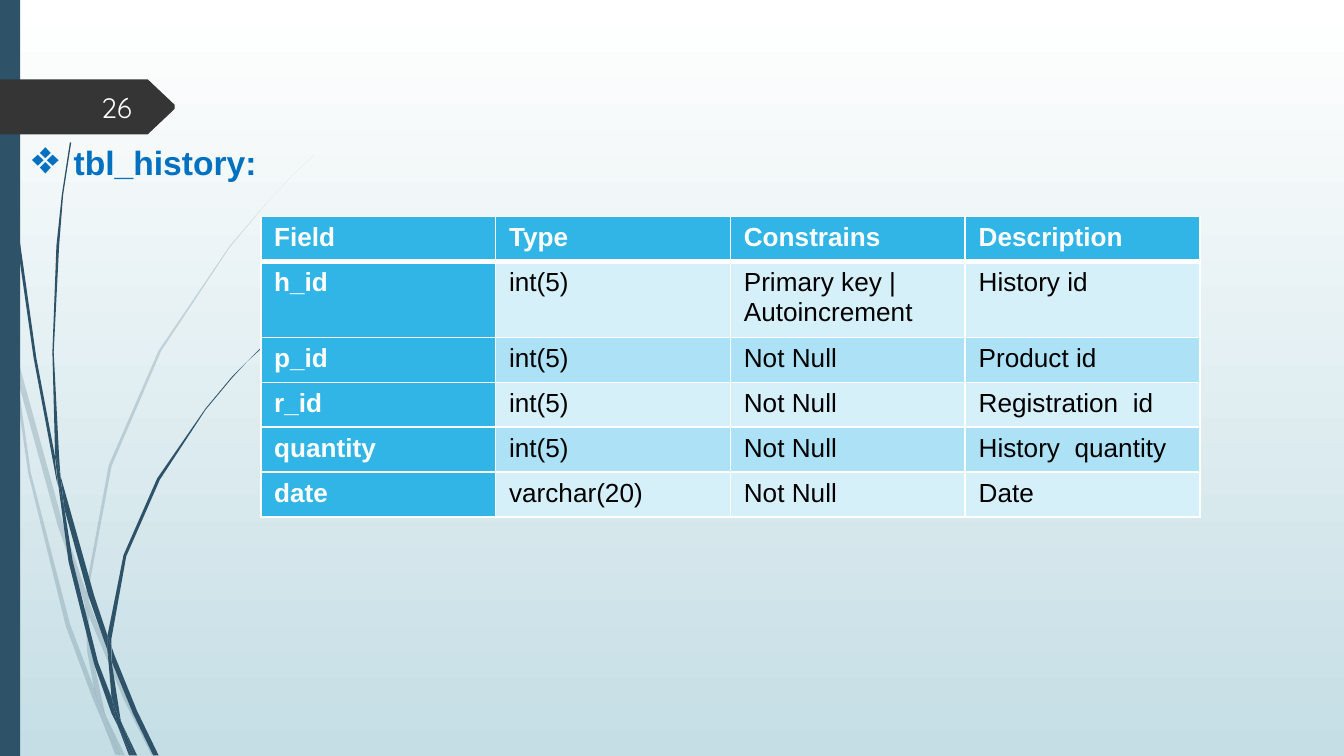
from dataclasses import dataclass

from pptx import Presentation
from pptx import util as u
from pptx.dml.color import RGBColor
from pptx.enum import shapes, text
from pptx.oxml.ns import qn
from pptx.oxml.xmlchemy import OxmlElement
from pptx.shapes.autoshape import Shape
from pptx.slide import Slide
from pptx.table import _Cell as Cell

Edge = list[tuple[float, float]]
HEX = {
    "white": "FFFFFF", "mist": "C5DEE5", "navy": "2E5369", "coal": "353535",
    "page": "FEFFFF", "title": "0070C0", "black": "000000",
    "head": "31B4E6", "light": "D6F0FA", "mid": "ADE1F5",
}
WIDE, HIGH = 10, 10 * 9 / 16
BASE = 5.62


@dataclass
class Label:
    words: str
    box: tuple[float, float, float, float]
    font: str
    size: int
    tint: str
    bold: bool = False


# Outlines of the grass blades, each down one edge and back up the other
PALE: list[Edge] = [
    [(0.08, 2.63), (0.06, 2.41), (0, 2.11), (0, 2.24), (0.08, 2.58)],
    [(0.11, 2.59), (0.13, 2.82), (0.43, 3.91), (0.63, 4.49),
     (0.64, 4.4), (0.47, 3.9)],
    [(0.66, 4.47), (0.66, 4.58), (0.92, 5.2), (1.13, BASE),
     (1.16, BASE), (0.95, 5.19), (0.69, 4.55)],
    [(0.79, 5.33), (0.89, BASE), (0.93, BASE)],
    [(0.08, 2.63), (0.21, 3.52), (0.49, 4.66), (0.69, 5.2), (0.76, 5.36),
     (0.74, 5.3), (0.7, 5.12), (0.52, 4.64), (0.23, 3.52), (0.13, 2.82)],
    [(0.63, 4.49), (0.65, 4.85), (0.7, 5.12), (0.72, 5.19), (0.79, 5.33),
     (0.78, 5.3), (0.68, 4.84), (0.66, 4.58), (0.66, 4.56)],
    [(0.66, 4.47), (0.66, 4.38), (0.83, 3.47), (1.2, 2.61), (1.71, 1.84),
     (2.01, 1.48), (2.17, 1.31), (2.34, 1.15), (2.17, 1.31), (2.01, 1.48),
     (1.71, 1.83), (1.18, 2.61), (0.81, 3.46), (0.64, 4.38), (0.64, 4.4)],
    [(0.76, 5.36), (0.86, BASE), (0.89, BASE)],
    [(0.66, 4.56), (0.66, 4.58), (0.66, 4.47), (0.64, 4.4), (0.63, 4.49)],
    [(0.7, 5.12), (0.74, 5.3), (0.76, 5.36), (0.89, BASE),
     (0.79, 5.33), (0.72, 5.19)],
]
DARK: list[Edge] = [
    [(0.02, 0), (0.03, 0.36), (0.05, 0.82), (0.12, 1.75), (0.25, 2.66),
     (0.42, 3.57), (0.43, 3.61), (0.41, 3.43), (0.41, 3.4), (0.27, 2.66),
     (0.14, 1.74), (0.06, 0.82), (0.03, 0.36), (0.03, 0)],
    [(0.45, 3.54), (0.48, 3.79), (0.66, 4.44), (0.8, 4.84),
     (0.8, 4.75), (0.8, 4.73), (0.7, 4.43)],
    [(0.83, 4.81), (0.83, 4.92), (0.99, 5.31), (1.14, BASE),
     (1.18, BASE), (1.02, 5.29), (0.85, 4.87)],
    [(0.43, 3.58), (0.51, 4.18), (0.7, 4.94), (0.83, 5.31), (0.88, 5.41),
     (0.87, 5.38), (0.83, 5.19), (0.73, 4.93), (0.54, 4.17), (0.48, 3.79)],
    [(0.45, 3.54), (0.44, 3.4), (0.4, 2.62), (0.44, 1.83), (0.47, 1.45),
     (0.53, 1.06), (0.52, 1.06), (0.46, 1.45), (0.42, 1.83), (0.39, 2.62),
     (0.41, 3.37)],
    [(0.91, 5.39), (1, BASE), (1.02, BASE)],
    [(0.43, 3.58), (0.48, 3.79), (0.45, 3.54), (0.41, 3.37), (0.41, 3.4)],
    [(0.83, 4.81), (0.83, 4.75), (0.94, 4.14), (1.19, 3.57), (1.53, 3.05),
     (1.73, 2.81), (1.84, 2.69), (1.96, 2.58), (1.95, 2.58), (1.84, 2.69),
     (1.73, 2.8), (1.53, 3.04), (1.17, 3.56), (0.92, 4.13), (0.8, 4.73)],
    [(0.88, 5.41), (0.96, BASE), (0.98, BASE)],
    [(0.8, 4.84), (0.83, 5.19), (0.87, 5.3), (0.91, 5.39),
     (0.9, 5.37), (0.83, 4.92), (0.81, 4.88)],
    [(0.8, 4.84), (0.81, 4.88), (0.83, 4.92), (0.83, 4.81),
     (0.8, 4.73), (0.8, 4.75)],
    [(0.83, 5.19), (0.87, 5.38), (0.88, 5.41), (0.98, BASE),
     (1, BASE), (0.91, 5.39), (0.87, 5.3)],
]
BADGE = [(0, 0.59), (1.1, 0.59), (1.11, 0.6), (1.3, 0.78), (1.3, 0.81),
         (1.11, 0.99), (1.1, 1), (0, 1)]
PAGE = Label("26", (0.44, 0.65, 0.64, 0.3), "Quicksand", 15, "page")
TITLE = Label("tbl_history:", (0.14, 1.01, 1.89, 0.4), "Arial", 18, "title", True)
ROWS = [
    ("Field", "Type", "Constrains", "Description"),
    ("h_id", "int(5)", "Primary key | Autoincrement", "History id"),
    ("p_id", "int(5)", "Not Null", "Product id"),
    ("r_id", "int(5)", "Not Null", "Registration  id"),
    ("quantity", "int(5)", "Not Null", "History  quantity"),
    ("date", "varchar(20)", "Not Null", "Date"),
]
TALL = [0.33, 0.56] + [0.33] * 4
SPAN = 6.99


def rgb(tint: str) -> RGBColor:
    return RGBColor.from_string(HEX[tint])


def paint(shape: Shape, tint: str, alpha: int = 100) -> None:
    shape.shadow.inherit = False
    shape.fill.solid()
    shape.fill.fore_color.rgb = rgb(tint)
    shape.line.fill.background()
    if alpha < 100:
        node = OxmlElement("a:alpha")
        node.set("val", str(alpha * 1000))
        shape._element.spPr.find(".//" + qn("a:srgbClr")).append(node)


def trace(slide: Slide, edge: Edge, tint: str, alpha: int = 100) -> None:
    spots = [(u.Inches(x), u.Inches(y)) for x, y in edge]
    pen = slide.shapes.build_freeform(*spots[0])
    pen.add_line_segments(spots[1:], close=True)
    paint(pen.convert_to_shape(), tint, alpha)


def write(slide: Slide, label: Label) -> Shape:
    box = slide.shapes.add_textbox(*map(u.Inches, label.box))
    box.text_frame.text = label.words
    font = box.text_frame.paragraphs[0].runs[0].font
    font.name, font.size, font.bold = label.font, u.Pt(label.size), label.bold
    font.color.rgb = rgb(label.tint)
    return box


def mark(box: Shape) -> None:
    """Put a large diamond bullet on the first paragraph."""
    props = box.text_frame.paragraphs[0]._p.get_or_add_pPr()
    props.set("marL", str(u.Inches(0.31)))
    props.set("indent", str(-u.Inches(0.31)))
    for tag, key, value in (("a:buSzPct", "val", "140000"), ("a:buChar", "char", "❖")):
        sign = OxmlElement(tag)
        sign.set(key, value)
        props.append(sign)


def frame(cell: Cell, foot: int) -> None:
    """White cell borders, the bottom one foot points wide."""
    props = cell._tc.get_or_add_tcPr()
    for side, width in zip("LRTB", (1, 1, 1, foot)):
        line = OxmlElement(f"a:ln{side}")
        line.set("w", str(u.Pt(width)))
        fill = OxmlElement("a:solidFill")
        color = OxmlElement("a:srgbClr")
        color.set("val", HEX["white"])
        fill.append(color)
        line.append(fill)
        props.append(line)


def grid(slide: Slide) -> None:
    table = slide.shapes.add_table(
        len(ROWS), 4, *map(u.Inches, (1.94, 1.61, SPAN, sum(TALL)))).table
    for col in table.columns:
        col.width = u.Inches(SPAN / 4)
    for r, (row, tall) in enumerate(zip(ROWS, TALL)):
        table.rows[r].height = u.Inches(tall)
        for c, words in enumerate(row):
            cell, head = table.cell(r, c), r == 0 or c == 0
            frame(cell, 3 if r == 0 else 1)
            cell.fill.solid()
            cell.fill.fore_color.rgb = rgb("head" if head else "light" if r % 2 else "mid")
            cell.text_frame.text = words
            font = cell.text_frame.paragraphs[0].runs[0].font
            font.name, font.size, font.bold = "Arial", u.Pt(14), head
            font.color.rgb = rgb("white" if head else "black")


def main() -> None:
    deck = Presentation()
    deck.slide_width, deck.slide_height = u.Inches(WIDE), u.Inches(HIGH)
    slide = deck.slides.add_slide(deck.slide_layouts[6])
    back = slide.background.fill
    back.gradient()
    back.gradient_angle = 270
    for stop, tint in zip(back.gradient_stops, ("white", "mist")):
        stop.color.rgb = rgb(tint)
    for blades, alpha in ((PALE, 20), (DARK, 100)):
        for blade in blades:
            trace(slide, blade, "navy", alpha)
    bar = slide.shapes.add_shape(
        shapes.MSO_SHAPE.RECTANGLE, 0, 0, u.Inches(0.15), u.Inches(HIGH))
    paint(bar, "navy")
    trace(slide, BADGE, "coal")
    page = write(slide, PAGE).text_frame
    page.word_wrap = True
    page.vertical_anchor = text.MSO_ANCHOR.MIDDLE
    page.paragraphs[0].alignment = text.PP_ALIGN.RIGHT
    mark(write(slide, TITLE))
    grid(slide)
    deck.save("out.pptx")


if __name__ == "__main__":
    main()
